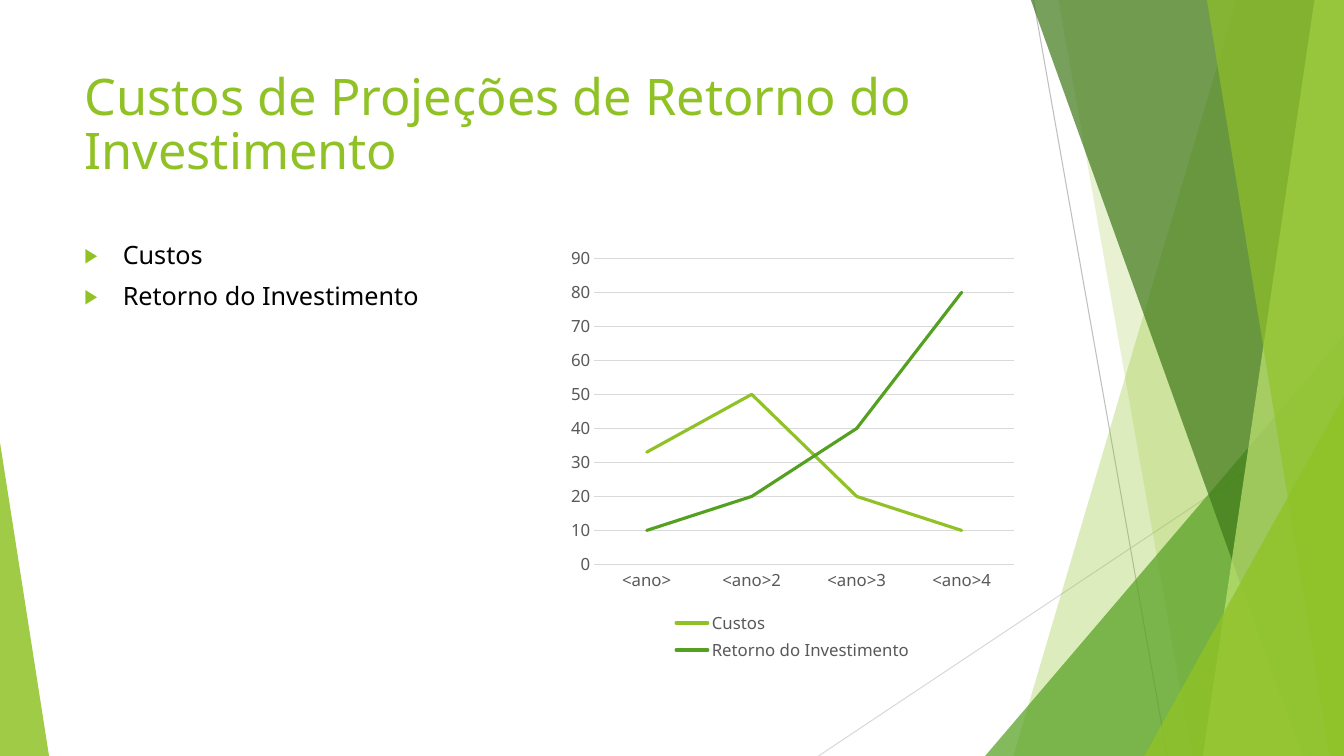
import pptx
import pptx.chart.data
import pptx.dml.color
import pptx.enum.chart
import pptx.enum.shapes
import pptx.enum.text
import pptx.oxml
import pptx.oxml.ns
import pptx.util
from lxml import etree

FONT = "Noto Sans"
LIME, GREEN, FOREST, PALE = "90C226", "54A021", "3F7819", "C0E474"
BLACK, LABEL, GRID, RULE = "000000", "595959", "D9D9D9", "BFBFBF"
WIDTH, HEIGHT = pptx.util.Inches(13.33), pptx.util.Inches(7.5)
LEFT, CONTENT_TOP = 5.55, 31.5
COLUMN_WIDTH, CONTENT_HEIGHT = 34.35, 56.55

# Each facet: colour, opacity in percent, corners in percent of the slide
FACETS = [
    (LIME, 30, [(92, 0), (75.4, 100), (100, 100), (100, 0)]),
    (LIME, 20, [(78.75, 0), (88.7, 100), (100, 100), (100, 0)]),
    (GREEN, 72, [(73.3, 100), (100, 44.4), (100, 100)]),
    (FOREST, 70, [(76.7, 0), (96.9, 100), (100, 100), (100, 0)]),
    (PALE, 70, [(97.8, 0), (89.5, 100), (100, 100), (100, 0)]),
    (LIME, 65, [(89.8, 0), (98.95, 100), (100, 100), (100, 0)]),
    (LIME, 80, [(85.15, 100), (100, 52.4), (100, 100)]),
    (LIME, 85, [(0, 58.5), (3.65, 100), (0, 100)]),
]


def across(percent):
    """Turn a share of the slide's width into a length."""
    return round(WIDTH * percent / 100)


def down(percent):
    """Turn a share of the slide's height into a length."""
    return round(HEIGHT * percent / 100)


def box(left, top, width, height):
    """Turn four shares into the position and size of an element."""
    return across(left), down(top), across(width), down(height)


def paint(color_format, color):
    """Set a colour from its hex string."""
    color_format.rgb = pptx.dml.color.RGBColor.from_string(color)


def style_font(font, size, color):
    """Set typeface, size and colour of a font."""
    font.name = FONT
    font.size = pptx.util.Pt(size)
    paint(font.color, color)


def style_line(line, color, width):
    """Set colour and width of a line."""
    paint(line.color, color)
    line.width = pptx.util.Pt(width)


def add_rule(slide, start, end, color):
    """Add a thin straight line between two points."""
    rule = slide.shapes.add_connector(
        pptx.enum.shapes.MSO_CONNECTOR.STRAIGHT,
        across(start[0]), down(start[1]), across(end[0]), down(end[1]))
    style_line(rule.line, color, 0.75)
    etree.SubElement(rule.element.spPr, pptx.oxml.ns.qn("a:effectLst"))


def add_facet(slide, color, opacity, corners):
    """Add a translucent polygon."""
    points = [(across(x), down(y)) for x, y in corners]
    builder = slide.shapes.build_freeform(*points[0], scale=1.0)
    builder.add_line_segments(points[1:], close=True)
    facet = builder.convert_to_shape()
    facet.shadow.inherit = False
    facet.line.fill.background()
    facet.fill.solid()
    paint(facet.fill.fore_color, color)
    tint = facet.element.spPr.find(".//" + pptx.oxml.ns.qn("a:srgbClr"))
    etree.SubElement(tint, pptx.oxml.ns.qn("a:alpha"), val=str(opacity * 1000))


def add_bullet(paragraph):
    """Give a paragraph a hanging triangle bullet."""
    properties = paragraph._p.get_or_add_pPr()
    indent = pptx.util.Inches(0.38)
    properties.set("marL", str(indent))
    properties.set("indent", str(-indent))
    color = etree.SubElement(properties, pptx.oxml.ns.qn("a:buClr"))
    etree.SubElement(color, pptx.oxml.ns.qn("a:srgbClr"), val=LIME)
    etree.SubElement(properties, pptx.oxml.ns.qn("a:buSzPct"), val="80000")
    etree.SubElement(properties, pptx.oxml.ns.qn("a:buFont"), typeface=FONT)
    etree.SubElement(properties, pptx.oxml.ns.qn("a:buChar"), char="▶")


def add_text(slide, place, lines, size, color, bulleted=False):
    """Add a text box with one paragraph for each line."""
    frame = slide.shapes.add_textbox(*box(*place)).text_frame
    frame.word_wrap = True
    frame.vertical_anchor = pptx.enum.text.MSO_ANCHOR.TOP
    for index, line in enumerate(lines):
        paragraph = frame.add_paragraph() if index else frame.paragraphs[0]
        paragraph.line_spacing = 0.89
        if bulleted:
            paragraph.space_before = pptx.util.Pt(10)
            add_bullet(paragraph)
        run = paragraph.add_run()
        run.text = line
        style_font(run.font, size, color)


def style_axis(axis):
    """Set labels and remove tick marks of an axis."""
    axis.major_tick_mark = pptx.enum.chart.XL_TICK_MARK.NONE
    axis.minor_tick_mark = pptx.enum.chart.XL_TICK_MARK.NONE
    style_font(axis.tick_labels.font, 12, LABEL)


def add_line_chart(slide, place, categories, series):
    """Add a line chart; series holds name, values and colour."""
    data = pptx.chart.data.CategoryChartData()
    data.categories = categories
    for name, values, _ in series:
        data.add_series(name, values)
    chart = slide.shapes.add_chart(
        pptx.enum.chart.XL_CHART_TYPE.LINE, *box(*place), data).chart
    style_font(chart.font, 10, LABEL)
    chart.has_title = False
    chart.has_legend = True
    chart.legend.position = pptx.enum.chart.XL_LEGEND_POSITION.BOTTOM
    chart.legend.include_in_layout = False
    style_font(chart.legend.font, 12, LABEL)
    for axis in (chart.category_axis, chart.value_axis):
        style_axis(axis)
    style_line(chart.category_axis.format.line, GRID, 0.75)
    chart.value_axis.format.line.fill.background()
    chart.value_axis.has_major_gridlines = True
    style_line(chart.value_axis.major_gridlines.format.line, GRID, 0.75)
    chart.plots[0].vary_by_categories = False
    for curve, (_, _, color) in zip(chart.plots[0].series, series):
        curve.smooth = False
        curve.marker.style = pptx.enum.chart.XL_MARKER_STYLE.NONE
        style_line(curve.format.line, color, 2.25)
        curve.format.line._ln.set("cap", "rnd")


def main():
    """Build the slide and save it."""
    deck = pptx.Presentation()
    deck.slide_width, deck.slide_height = WIDTH, HEIGHT
    slide = deck.slides.add_slide(deck.slide_layouts[6])
    slide.background.fill.solid()
    paint(slide.background.fill.fore_color, "FFFFFF")

    add_rule(slide, (60.9, 100), (100, 53.7), GRID)
    add_rule(slide, (76.9, 0), (86.85, 100), RULE)
    for color, opacity, corners in FACETS:
        add_facet(slide, color, opacity, corners)

    series = [("Custos", (33, 50, 20, 10), LIME),
              ("Retorno do Investimento", (10, 20, 40, 80), GREEN)]
    add_text(slide, (LEFT, 8.9, 70.5, 19.2),
             ["Custos de Projeções de Retorno do Investimento"], 36, LIME)
    add_text(slide, (LEFT, CONTENT_TOP, COLUMN_WIDTH, CONTENT_HEIGHT),
             [name for name, _, _ in series], 18, BLACK, bulleted=True)
    add_line_chart(slide, (41.8, CONTENT_TOP, COLUMN_WIDTH, CONTENT_HEIGHT),
                   ["<ano>", "<ano>2", "<ano>3", "<ano>4"], series)
    deck.save("out.pptx")


main()
